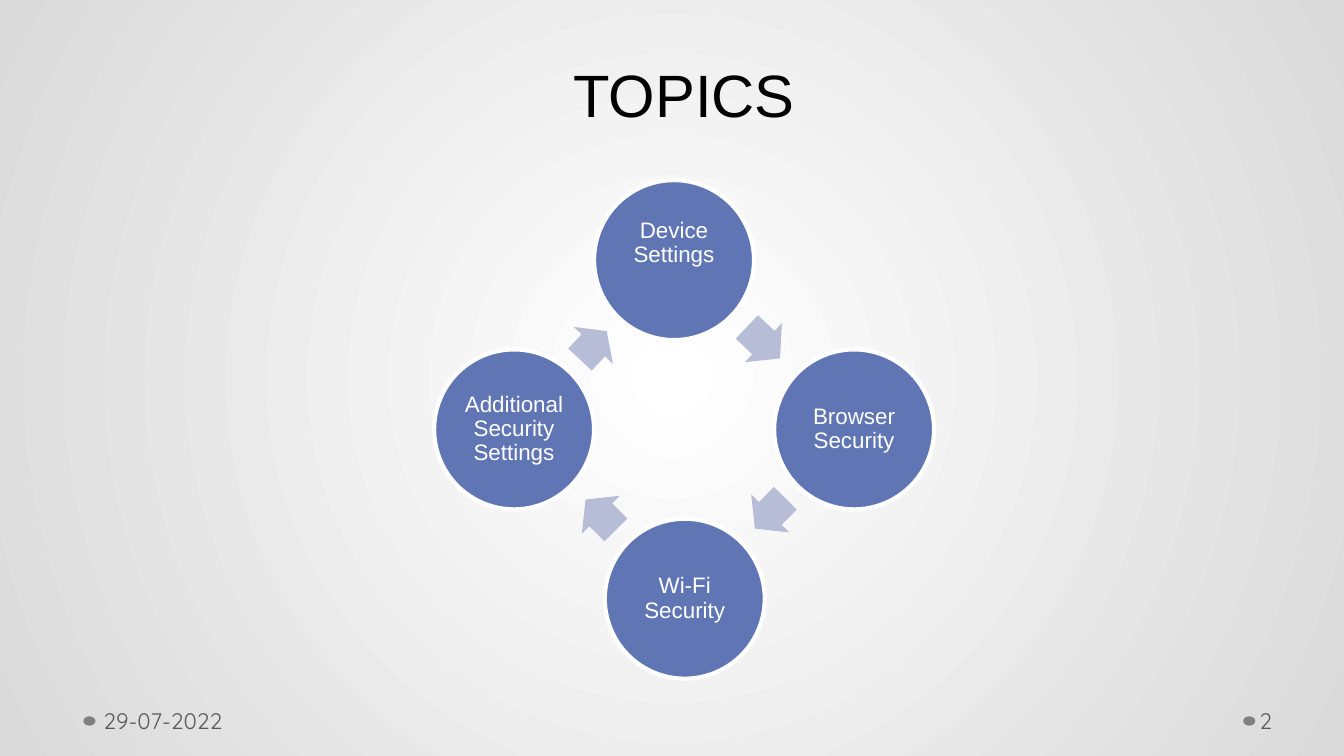
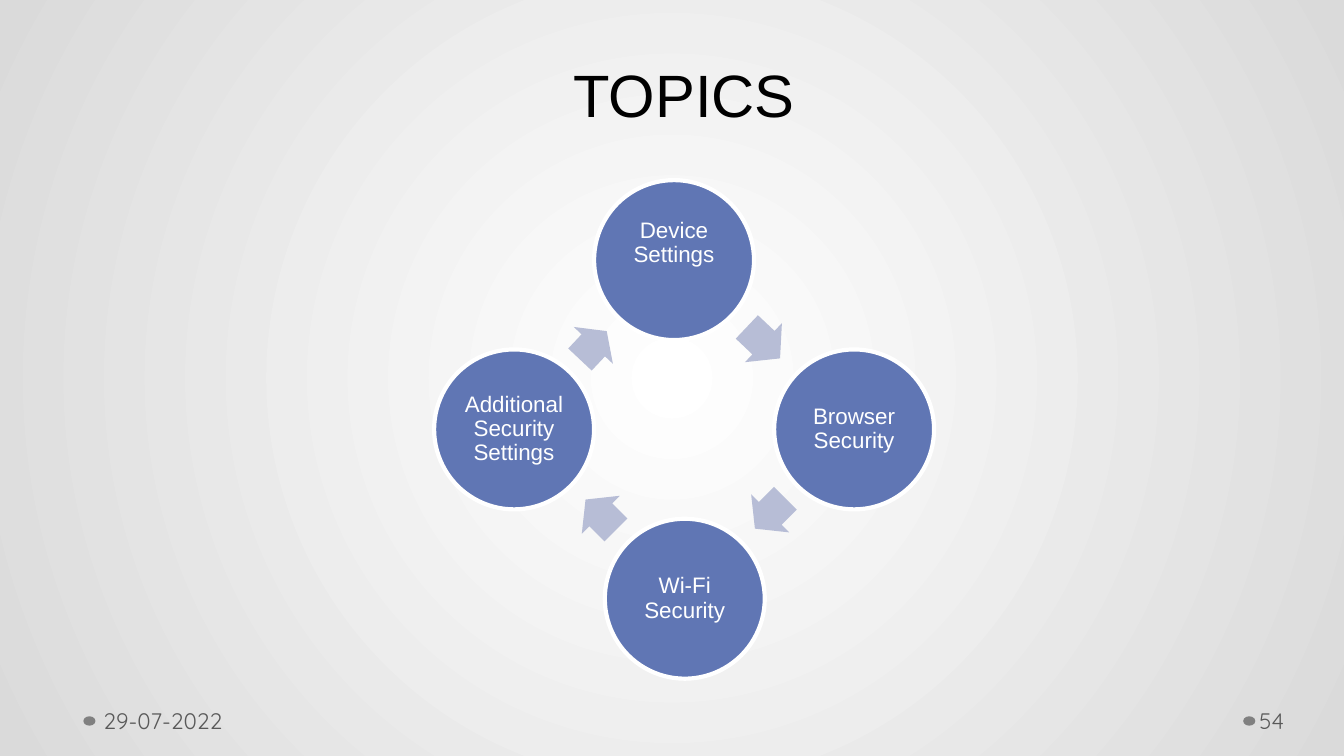
from lxml import etree
from pptx import Presentation
from pptx.dml.color import RGBColor
from pptx.enum import shapes, text
from pptx.oxml.ns import qn
from pptx.util import Inches, Pt

# Content
TITLE = "TOPICS"
DATE = "29-07-2022"
PAGES = ["2", "54"]
# label, circle left and top, extra inset below the label
TOPICS = [
    ("Device Settings", 4.42, 1.34, 0.25),
    ("Browser Security", 5.76, 2.6, 0),
    ("Wi-Fi Security", 4.5, 3.86, 0),
    ("Additional Security Settings", 3.23, 2.6, 0),
]
# left, top, width, turn of the arrow that leaves each topic
ARROWS = [
    (5.51, 2.35, 0.34, 43.4),
    (5.57, 3.62, 0.32, 135),
    (4.31, 3.63, 0.32, 225),
    (4.27, 2.37, 0.29, 313.3),
]

# Style
BLACK = RGBColor(0x00, 0x00, 0x00)
WHITE = RGBColor(0xFF, 0xFF, 0xFF)
EDGE = RGBColor(0xDA, 0xDA, 0xDA)
BLUE = RGBColor(0x60, 0x76, 0xB4)
PALE = RGBColor(0xB7, 0xBD, 0xD6)
DOT = RGBColor(0x80, 0x80, 0x80)
GREY = RGBColor(0x59, 0x59, 0x59)
HEAD, FOOT = "Arial", "Quicksand"
SIZE = 1.19
KIND = shapes.MSO_SHAPE
ALIGN = text.PP_ALIGN
ANCHOR = text.MSO_ANCHOR


def write(shape, words, font, size, color, align, anchor, pads, space=None):
    frame = shape.text_frame
    frame.word_wrap = True
    frame.vertical_anchor = anchor
    (frame.margin_left, frame.margin_top,
     frame.margin_right, frame.margin_bottom) = map(Inches, pads)
    para = frame.paragraphs[0]
    para.text = words
    para.alignment = align
    para.line_spacing = space
    para.font.name = font
    para.font.size = Pt(size)
    para.font.color.rgb = color


def label(slide, box, *style):
    write(slide.shapes.add_textbox(*map(Inches, box)), *style)


def draw(slide, kind, box, fill):
    shape = slide.shapes.add_shape(kind, *map(Inches, box))
    shape.shadow.inherit = False
    shape.fill.solid()
    shape.fill.fore_color.rgb = fill
    shape.line.fill.background()
    return shape


def backdrop(master):
    """Round gradient, white in the middle, behind every slide."""
    fill = master.background.fill
    fill.gradient()
    for stop, color, place in zip(fill.gradient_stops, (WHITE, EDGE), (0, 1)):
        stop.color.rgb = color
        stop.position = place
    grad = master.element.find(".//" + qn("a:gradFill"))
    grad.remove(grad.find(qn("a:lin")))
    ring = etree.SubElement(grad, qn("a:path"), path="circle")
    mid = dict.fromkeys("ltrb", "50000")
    etree.SubElement(ring, qn("a:fillToRect"), mid)


def frame_page(slide, page):
    """Title, footer dots, date and page number."""
    for left in (9.25, 0.62):
        draw(slide, KIND.OVAL, (left, 5.33, 0.09, 0.07), DOT)
    label(slide, (0.91, 0.21, 8.36, 0.8), TITLE, HEAD, 32, BLACK,
          ALIGN.CENTER, ANCHOR.BOTTOM, (0.1, 0.05, 0.1, 0.05), Pt(58))
    for words, left, width, pads in (
        (DATE, 0.72, 3.11, (0.05, 0.05, 0.1, 0.05)),
        (page, 9.34, 0.61, (0.03, 0.05, 0.05, 0.05)),
    ):
        label(slide, (left, 5.21, width, 0.3), words, FOOT, 12, GREY,
              ALIGN.LEFT, ANCHOR.MIDDLE, pads)


def cycle(slide):
    """Four topics, each followed by its arrow."""
    for (words, left, top, lift), (x, y, width, turn) in zip(TOPICS, ARROWS):
        disc = draw(slide, KIND.OVAL, (left, top, SIZE, SIZE), BLUE)
        disc.line.color.rgb = WHITE
        disc.line.width = Pt(2.25)
        write(disc, words, HEAD, 12, WHITE, ALIGN.CENTER, ANCHOR.MIDDLE,
              (0.02, 0.02, 0.02, 0.02 + lift), 0.9)
        arrow = draw(slide, KIND.RIGHT_ARROW, (x, y, width, 0.4), PALE)
        arrow.rotation = turn
        arrow.adjustments[0] = 0.6
        arrow.adjustments[1] = 0.5


def main():
    deck = Presentation()
    deck.slide_width = Inches(10)
    deck.slide_height = deck.slide_width * 9 // 16
    backdrop(deck.slide_master)
    for page in PAGES:
        slide = deck.slides.add_slide(deck.slide_layouts[6])
        frame_page(slide, page)
        cycle(slide)
    deck.save("out.pptx")


if __name__ == "__main__":
    main()
